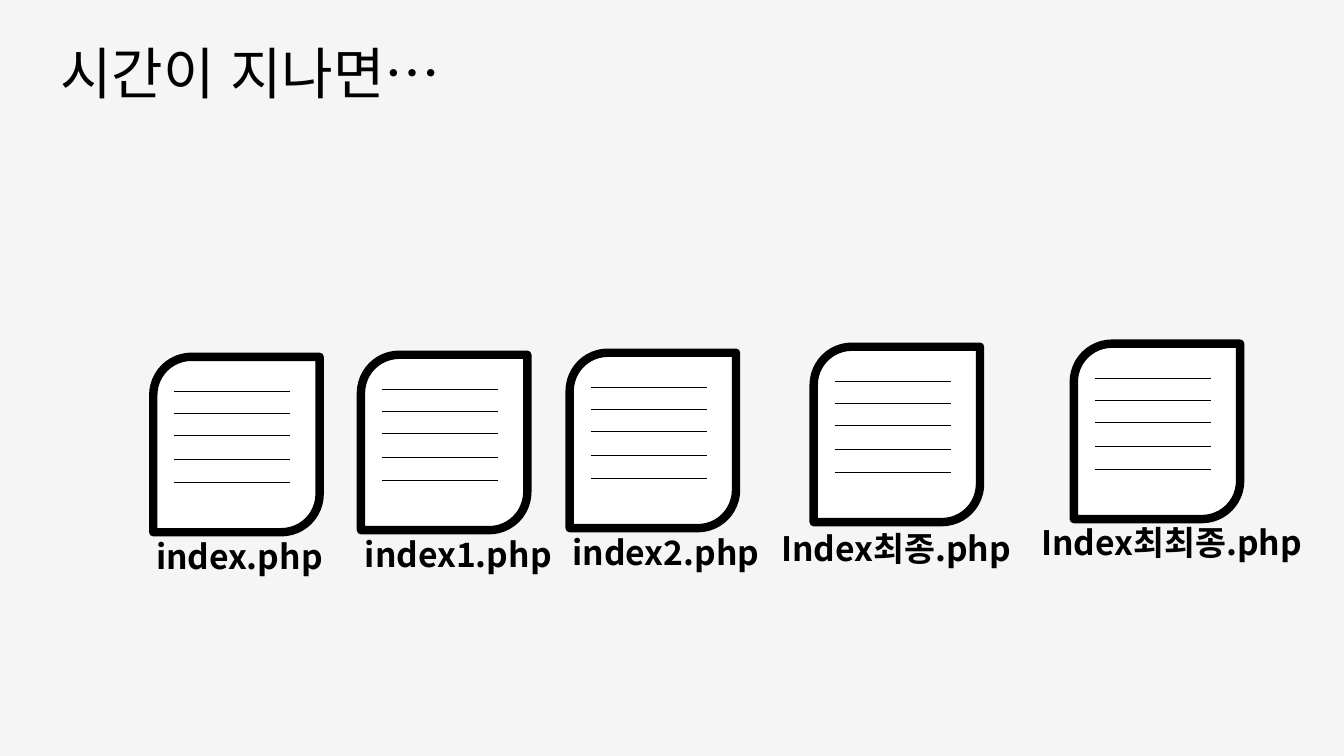
from lxml import etree
from pptx import Presentation
from pptx.dml.color import RGBColor
from pptx.enum.lang import MSO_LANGUAGE_ID
from pptx.enum.shapes import MSO_CONNECTOR, MSO_SHAPE
from pptx.enum.text import MSO_AUTO_SIZE
from pptx.oxml.ns import qn
from pptx.util import Inches, Pt

PAGE = MSO_SHAPE.ROUND_2_DIAG_RECTANGLE
STRAIGHT = MSO_CONNECTOR.STRAIGHT
KOREAN = MSO_LANGUAGE_ID.KOREAN
FIT_SHAPE = MSO_AUTO_SIZE.SHAPE_TO_FIT_TEXT

# Content
TITLE = "시간이 지나면…"
FILES = [  # name, page left and top, label left, top and width
    ("index.php", 1.52, 3.54, 1.45, 5.27, 2.32),
    ("index1.php", 3.58, 3.52, 3.52, 5.25, 2.32),
    ("index2.php", 5.65, 3.5, 5.58, 5.23, 2.32),
    ("Index최종.php", 8.07, 3.44, 7.65, 5.19, 2.48),
    ("Index최최종.php", 10.65, 3.41, 10.23, 5.13, 2.83),
]

# Style and page geometry, in inches
FONT = "Noto Sans CJK KR"
BLACK, WHITE, PALE = "000000", "FFFFFF", "F5F5F5"
PAGE_W, PAGE_H, CORNER = 1.65, 1.74, 0.23
RULE_INSET, RULE_W = 0.21, 1.15
RULE_DROPS = (0.34, 0.56, 0.78, 1.02, 1.25)


def color(value):
    return RGBColor.from_string(value)


def add_text(s, text, left, top, width, height, size, bold=False, wrap=True):
    box = s.shapes.add_textbox(*map(Inches, (left, top, width, height)))
    tf = box.text_frame
    tf.word_wrap = wrap
    tf.auto_size = FIT_SHAPE
    r = tf.paragraphs[0].add_run()
    r.text = text
    font = r.font
    font.name, font.size, font.bold = FONT, Pt(size), bold
    font.language_id = KOREAN
    font.color.rgb = color(BLACK)
    # Korean letters take the east Asian typeface
    latin = r._r.rPr.find(qn("a:latin"))
    ea = etree.Element(qn("a:ea"), typeface=FONT)
    latin.addnext(ea)


def add_document(s, left, top):
    group = s.shapes.add_group_shape()
    sp = group.shapes.add_shape(
        PAGE, *map(Inches, (left, top, PAGE_W, PAGE_H)))
    sp.shadow.inherit = False
    sp.adjustments[0] = CORNER
    sp.fill.solid()
    sp.fill.fore_color.rgb = color(WHITE)
    sp.line.color.rgb = color(BLACK)
    sp.line.width = Pt(6)
    x = left + RULE_INSET
    for drop in RULE_DROPS:
        y = top + drop
        rule = group.shapes.add_connector(
            STRAIGHT, *map(Inches, (x, y, x + RULE_W, y)))
        rule.line.color.rgb = color(BLACK)
        rule.line.width = Pt(0.5)
        etree.SubElement(rule._element.spPr, qn("a:effectLst"))


def main():
    prs = Presentation()
    prs.slide_width, prs.slide_height = Inches(13.33), Inches(7.5)
    s = prs.slides.add_slide(prs.slide_layouts[6])
    s.background.fill.solid()
    s.background.fill.fore_color.rgb = color(PALE)

    # Title
    add_text(s, TITLE, 0.5, 0.33, 4.32, 0.77, 40, wrap=False)

    # File versions with their names
    for name, left, top, label_left, label_top, label_w in FILES:
        add_document(s, left, top)
        add_text(s, name, label_left, label_top, label_w, 0.5, 24, bold=True)

    prs.save("out.pptx")


if __name__ == "__main__":
    main()
